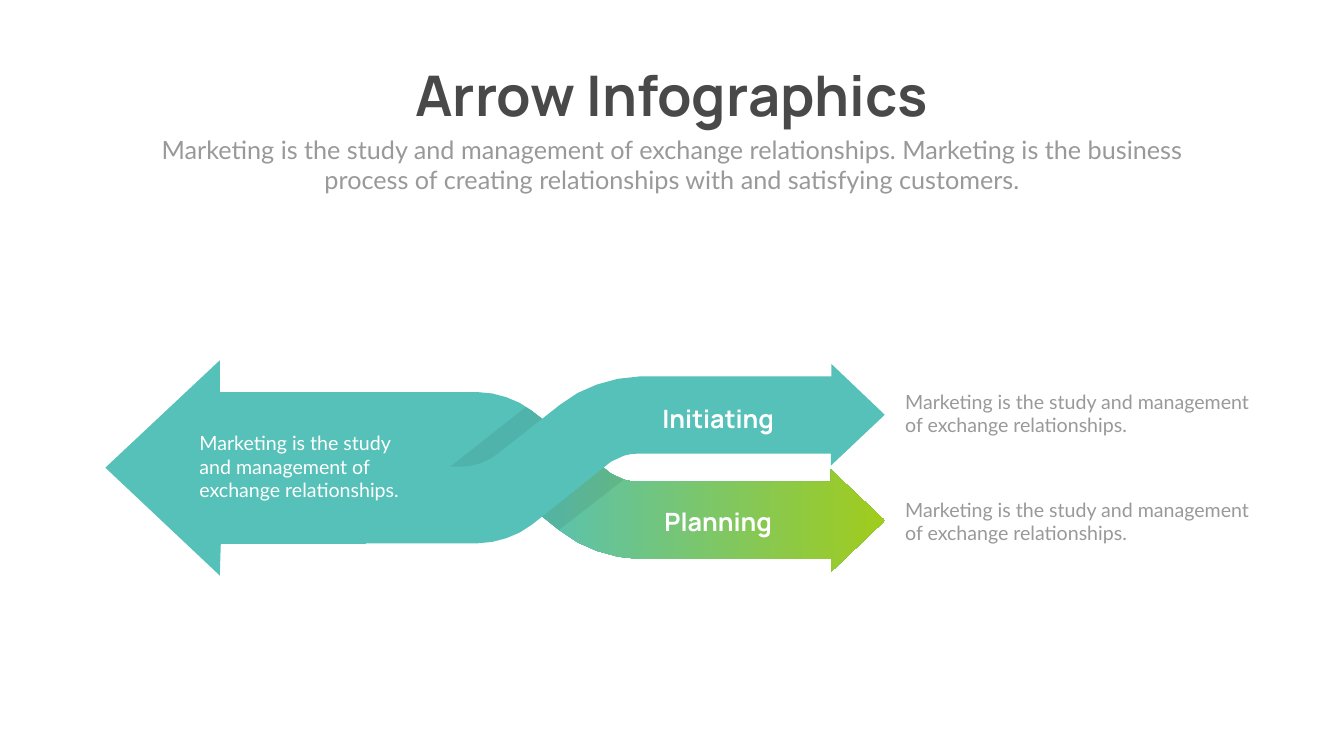
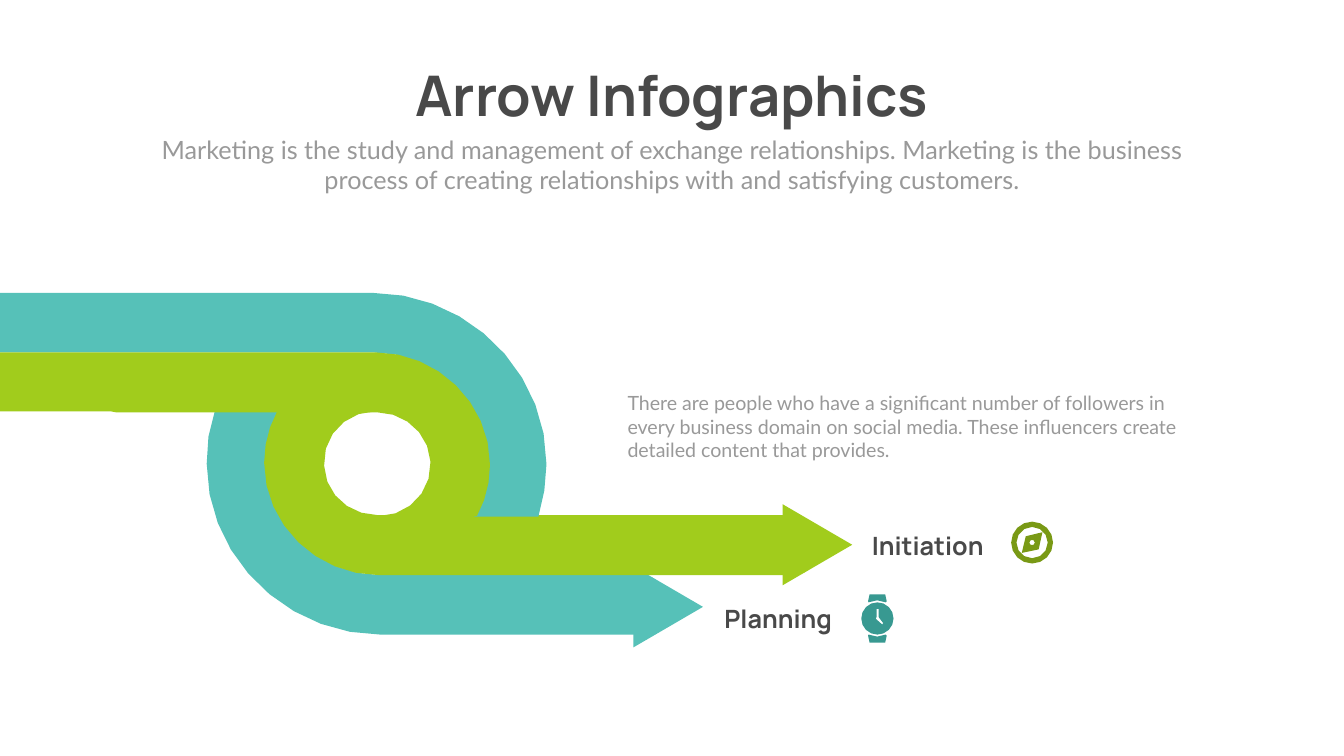
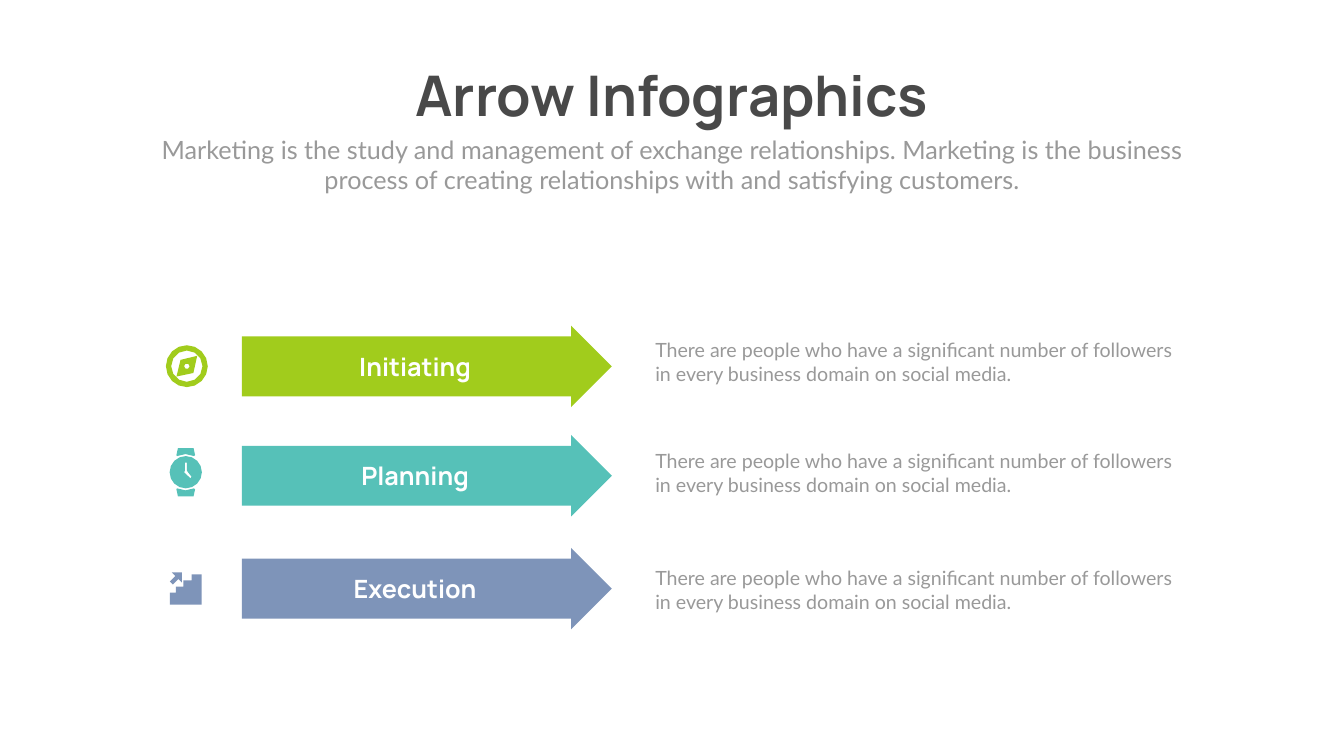
from math import ceil, cos, hypot, pi, sin, sqrt

from lxml.etree import SubElement
from pptx import Presentation
from pptx.dml.color import RGBColor
from pptx.enum.shapes import MSO_SHAPE as Preset
from pptx.enum.text import MSO_ANCHOR as Anchor
from pptx.enum.text import MSO_AUTO_SIZE as AutoSize
from pptx.enum.text import PP_ALIGN as Align
from pptx.oxml.ns import qn
from pptx.util import Cm, Pt

TEAL, GREEN, BLUE = "56C1B8", "A1CC1C", "7E94B9"
DARK_TEAL, DARK_GREEN = "389991", "799915"
INK, GREY, WHITE, BLACK = "494949", "999999", "FFFFFF", "000000"
HEADING, BODY = "Manrope", "Lato"
LABEL = dict(font=HEADING, size=36, bold=True)
TOLERANCE = 1.6

MARKETING = "Marketing is the study and management of exchange relationships."
SUBTITLE = MARKETING + (" Marketing is the business process of creating "
                        "relationships with and satisfying customers.")
FOLLOWERS = ("There are people who have a significant number of followers "
             "in every business domain on social media.")
INFLUENCERS = FOLLOWERS + " These influencers create detailed content that provides."


def rgb(value):
    return RGBColor.from_string(value)


def paint(shape, color, alpha=None):
    shape.shadow.inherit = False
    shape.line.fill.background()
    shape.fill.solid()
    shape.fill.fore_color.rgb = rgb(color)
    if alpha is not None:
        solid = shape._element.spPr.find(qn("a:solidFill"))
        SubElement(solid[0], qn("a:alpha")).set("val", str(alpha * 1000))


def write(shape, text, font=BODY, size=28, color=GREY, bold=False,
          align=Align.LEFT, wrap=True, inset=(0.25, 0.13)):
    frame = shape.text_frame
    frame.word_wrap = wrap
    frame.auto_size = AutoSize.SHAPE_TO_FIT_TEXT
    frame.vertical_anchor = Anchor.TOP
    frame.margin_left = frame.margin_right = Cm(inset[0])
    frame.margin_top = frame.margin_bottom = Cm(inset[1])
    paragraph = frame.paragraphs[0]
    paragraph.alignment = align
    run = paragraph.add_run()
    run.text = text
    run.font.name = font
    run.font.size = Pt(size)
    run.font.bold = bold
    run.font.color.rgb = rgb(color)


def add_text(slide, left, top, width, height, text, **style):
    box = slide.shapes.add_textbox(Cm(left), Cm(top), Cm(width), Cm(height))
    write(box, text, **style)


def add_preset(shapes, preset, left, top, width, height, color):
    shape = shapes.add_shape(preset, Cm(left), Cm(top), Cm(width), Cm(height))
    paint(shape, color)
    return shape


def flatten(contour):
    points = [contour[0]]
    for step in contour[1:]:
        if len(step) == 2:
            points.append(step)
            continue
        x0, y0 = points[-1]
        x1, y1, x2, y2, x3, y3 = step
        bend = max(hypot(x0 - 2 * x1 + x2, y0 - 2 * y1 + y2),
                   hypot(x1 - 2 * x2 + x3, y1 - 2 * y2 + y3))
        count = max(1, ceil(sqrt(0.75 * bend / TOLERANCE)))
        for index in range(1, count + 1):
            t = index / count
            a, b, c, d = (1 - t) ** 3, 3 * t * (1 - t) ** 2, 3 * t * t * (1 - t), t ** 3
            points.append((a * x0 + b * x1 + c * x2 + d * x3,
                           a * y0 + b * y1 + c * y2 + d * y3))
    return points


def circle(x, y, radius, count):
    angles = [2 * pi * index / count for index in range(count)]
    return [(x + radius * cos(angle), y + radius * sin(angle)) for angle in angles]


def mirror(contour, height):
    return [tuple(height - value if index % 2 else value
                  for index, value in enumerate(step)) for step in contour]


def shift(contour, distance):
    return [tuple(value if index % 2 else value + distance
                  for index, value in enumerate(step)) for step in contour]


def add_outline(shapes, left, top, unit, contours, color, alpha=None):
    builder = None
    for contour in contours:
        points = [(Cm(left + x * unit), Cm(top + y * unit)) for x, y in flatten(contour)]
        if builder is None:
            builder = shapes.build_freeform(*points[0], scale=1.0)
        else:
            builder.move_to(*points[0])
        builder.add_line_segments(points[1:], close=True)
    shape = builder.convert_to_shape()
    paint(shape, color, alpha)
    return shape


STRAP = [(14, 16), (31, 12), (48, 16), (50, 14), (47, 0), (16, 0), (13, 14)]
HANDS = [(41, 60), (32, 52), (28, 48), (30, 45), (30, 29), (34, 29),
         (34, 45), (36, 48), (43, 57)]
COMPASS = (2.11, 83, [
    [circle(41.5, 41.5, 41.5, 16), circle(41.5, 41.5, 31, 12)],
    [[(21, 62), (54.5, 55), (62, 21), (29, 29)], circle(41.5, 41.5, 5.5, 6)]])
WATCH = (1.6, 63, [
    [circle(31.5, 48, 32, 16), HANDS], [STRAP], [mirror(STRAP, 96)]])
STAIRS = (1.6, 63, [
    [[(43, 4), (43, 16), (27, 16), (27, 28), (12, 28), (12, 40), (0, 40),
      (0, 64), (63, 64), (63, 4)]],
    [[(6, 24), (17, 13), (24, 20), (24, 0), (4, 0), (11, 7), (0, 18)]]])


def add_icon(slide, left, top, icon, color):
    width, grid, parts = icon
    group = slide.shapes.add_group_shape()
    for contours in parts:
        add_outline(group.shapes, left, top, width / grid, contours, color)


def add_slide(presentation):
    slide = presentation.slides.add_slide(presentation.slide_layouts[5])
    title = slide.shapes.title
    title.left, title.top, title.width, title.height = map(Cm, (19.53, 2.9, 28.65, 3.68))
    write(title, "Arrow Infographics", font=HEADING, size=80, color=INK,
          bold=True, align=Align.CENTER, wrap=False)
    add_text(slide, 7.42, 6.63, 52.88, 3.33, SUBTITLE, size=36, align=Align.CENTER)
    return slide


BIG_HEAD = [(229, 364), (227, 427), (0, 213), (227, 0), (227, 63), (515, 63), (517, 364)]
RIBBON_OUTER = [
    (1440, 394), (1440, 419), (1546, 318), (1439, 217), (1439, 241), (1058, 241),
    (1048, 241, 1039, 240, 1029, 237), (1020, 234, 1011, 230, 1003, 225),
    (846, 100), (830, 88, 814, 79, 795, 73), (777, 67, 758, 63, 738, 63)]
RIBBON_INNER = [
    (706, 215), (719, 215, 732, 217, 745, 222), (757, 226, 769, 233, 779, 241),
    (902, 338), (924, 356, 949, 369, 975, 378), (1002, 388, 1031, 393, 1059, 394)]
ROUND_TAIL = [(488, 63), (482, 99, 466, 132, 441, 160), (419, 185, 391, 204, 359, 215)]
SQUARE_TAIL = [(359, 63), (359, 215)]
FOLD_SHADOW = [
    (835, 92), (877, 124), (916, 156), (998, 221), (1012, 230),
    (1017, 233, 1022, 235, 1028, 237), (899, 337), (776, 238),
    (764, 230, 751, 224, 737, 220), (728, 217, 718, 215, 708, 215), (679, 215)]
TAIL_COVER = [(556, 64), (337, 64), (337, 215), (471, 218),
              (493, 197, 511, 173, 526, 146), (540, 121, 550, 93, 556, 64)]


def add_split_arrow(slide, left, top, width):
    unit = width / 1546

    def draw(contour, color, alpha=None):
        return add_outline(slide.shapes, left, top, unit, [contour], color, alpha)

    draw(BIG_HEAD, TEAL)
    planning = draw(RIBBON_OUTER + ROUND_TAIL + RIBBON_INNER, TEAL)
    planning.fill.gradient()
    planning.fill.gradient_angle = 0
    for stop, color, position in zip(planning.fill.gradient_stops, (TEAL, GREEN), (0.4, 1)):
        stop.color.rgb = rgb(color)
        stop.position = position
    draw(FOLD_SHADOW, BLACK, 7)
    draw(mirror(RIBBON_OUTER + SQUARE_TAIL + RIBBON_INNER, 426), TEAL)
    for distance in (0, 51):
        draw(shift(TAIL_COVER, distance), TEAL, 92)

    for label, label_top, note_top in (("Initiating", 2.03, 1.34), ("Planning", 7.21, 6.8)):
        add_text(slide, left + 25.47, top + label_top, 10.82, 1.83, label, **LABEL,
                 color=WHITE, align=Align.CENTER, inset=(0.15, 0.15))
        add_text(slide, left + 40.05, top + note_top, 18.54, 2.64, MARKETING)
    add_text(slide, left + 4.49, top + 3.43, 11.43, 3.84, MARKETING, color=WHITE)


SWIRL_BANDS = [
    (TEAL, [(426, 235), (553, 235), (536, 266, 528, 301, 528, 337),
            (528, 459, 631, 560, 754, 560), (1270, 560),
            (1303, 560, 1330, 586, 1330, 619), (1330, 651, 1303, 678, 1270, 678),
            (755, 678), (569, 678, 410, 525, 410, 339), (409, 302, 415, 267, 426, 235)]),
    (GREEN, [(550, 235), (745, 235), (686, 235, 639, 284, 643, 343),
             (645, 399, 693, 441, 749, 441), (1572, 441),
             (1604, 441, 1631, 468, 1631, 500), (1631, 533, 1604, 560, 1572, 560),
             (751, 560), (629, 560, 524, 460, 524, 337), (524, 301, 533, 265, 550, 235)]),
    (TEAL, [(0, 0), (739, 0), (925, 0, 1084, 153, 1084, 340),
            (1084, 375, 1078, 410, 1068, 444), (941, 444),
            (958, 412, 967, 378, 967, 341), (967, 219, 863, 118, 740, 118), (0, 118)]),
    (GREEN, [(0, 118), (745, 118), (867, 118, 972, 218, 972, 341),
             (972, 377, 963, 413, 946, 443), (751, 443),
             (810, 443, 857, 394, 854, 335), (851, 279, 803, 237, 748, 237),
             (230, 237), (219, 235), (0, 235)])]


def add_swirl(slide, left, top, width):
    shapes = slide.shapes.add_group_shape().shapes
    for x, y, color in ((31.62, 14.07, TEAL), (39.14, 10.94, GREEN)):
        head = add_preset(shapes, Preset.ISOSCELES_TRIANGLE, left + x, top + y, 4.09, 3.51, color)
        head.rotation = 90
    for color, contour in SWIRL_BANDS:
        add_outline(shapes, left, top, width / 1631, [contour], color)
    for label, x, y, label_width in (("Initiation", 43.41, 11.83, 6.4),
                                     ("Planning", 33.66, 15.52, 8.51)):
        add_text(slide, left + x, top + y, label_width, 1.8, label, **LABEL,
                 color=INK, align=Align.RIGHT)
    add_text(slide, left + 31.37, top + 4.82, 28.93, 3.84, INFLUENCERS)
    add_icon(slide, left + 50.95, top + 11.53, COMPASS, DARK_GREEN)
    add_icon(slide, left + 43.41, top + 15.19, WATCH, DARK_TEAL)


def add_arrow_row(slide, left, top, label, color, icon, icon_left, icon_top, note_top):
    arrow = add_preset(slide.shapes, Preset.RIGHT_ARROW, left + 3.83, top, 18.64, 4.11, color)
    arrow.adjustments[0] = 0.734
    arrow.adjustments[1] = 0.5
    add_text(slide, left + 6.19, top + 1.17, 12.73, 1.8, label, **LABEL,
             color=WHITE, align=Align.CENTER)
    add_text(slide, left + 24.41, top + note_top, 26.59, 2.64, FOLLOWERS)
    add_icon(slide, left + icon_left, top + icon_top, icon, color)


def main():
    presentation = Presentation()
    presentation.slide_width = Cm(67.72)
    presentation.slide_height = Cm(38.1)

    add_split_arrow(add_slide(presentation), 5.31, 18.16, 39.27)
    add_swirl(add_slide(presentation), 0, 14.76, 41.43)

    rows_slide = add_slide(presentation)
    for top, *row in (
            (16.41, "Initiating", GREEN, COMPASS, 0, 0.99, 0.5),
            (21.92, "Planning", TEAL, WATCH, 0.2, 0.66, 0.58),
            (27.61, "Execution", BLUE, STAIRS, 0.2, 1.24, 0.79)):
        add_arrow_row(rows_slide, 8.36, top, *row)

    presentation.save("out.pptx")


if __name__ == "__main__":
    main()
